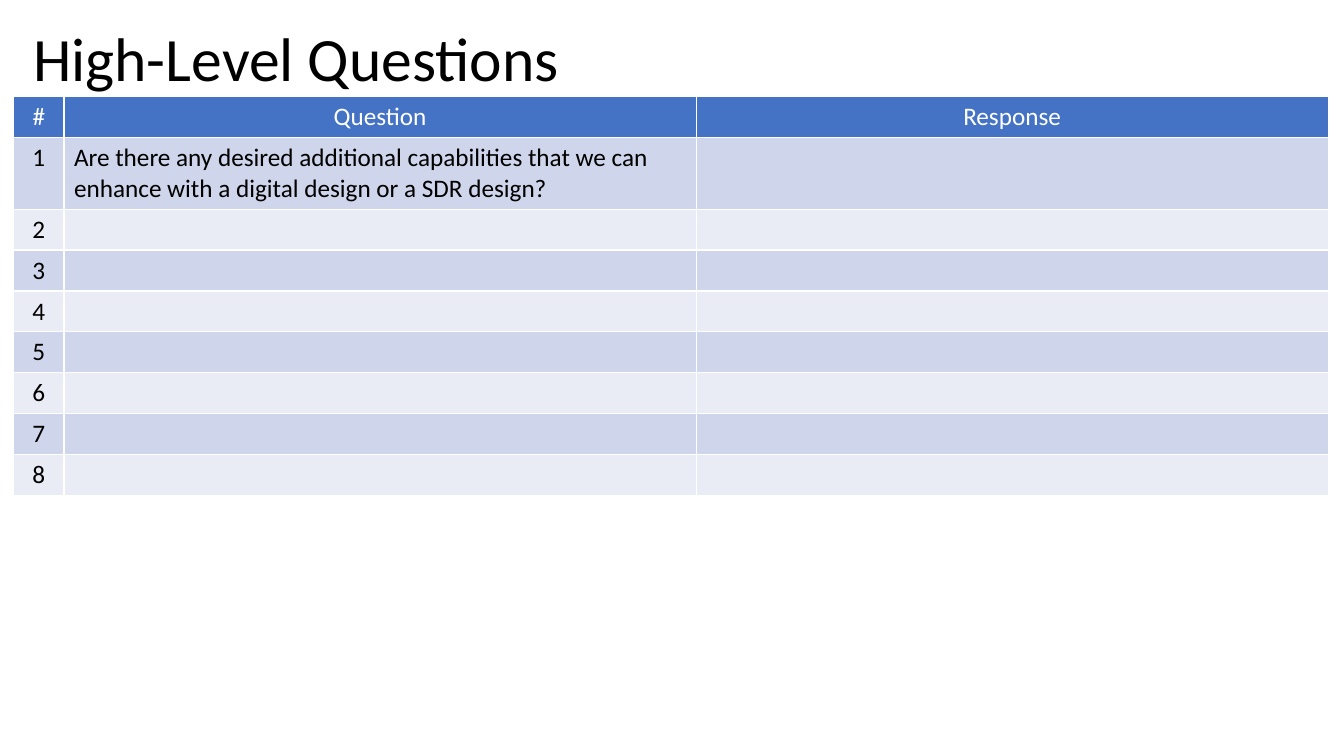
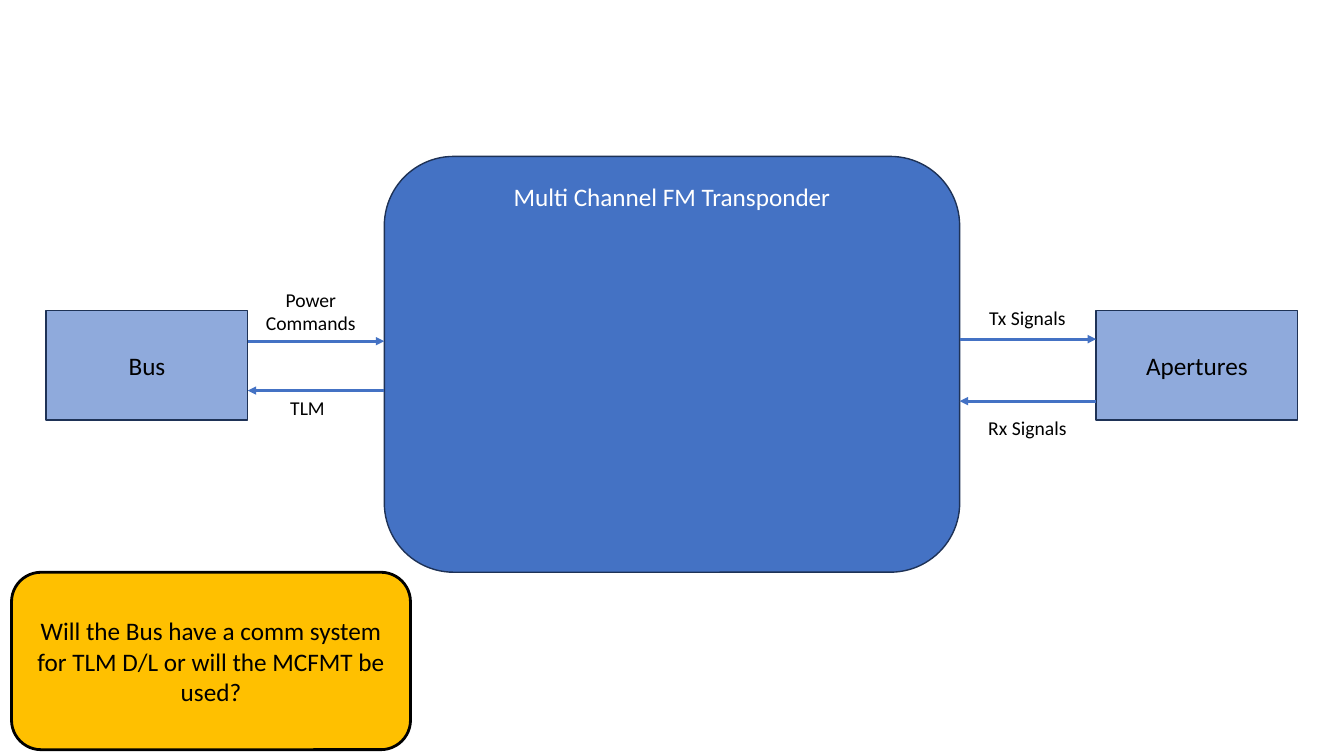
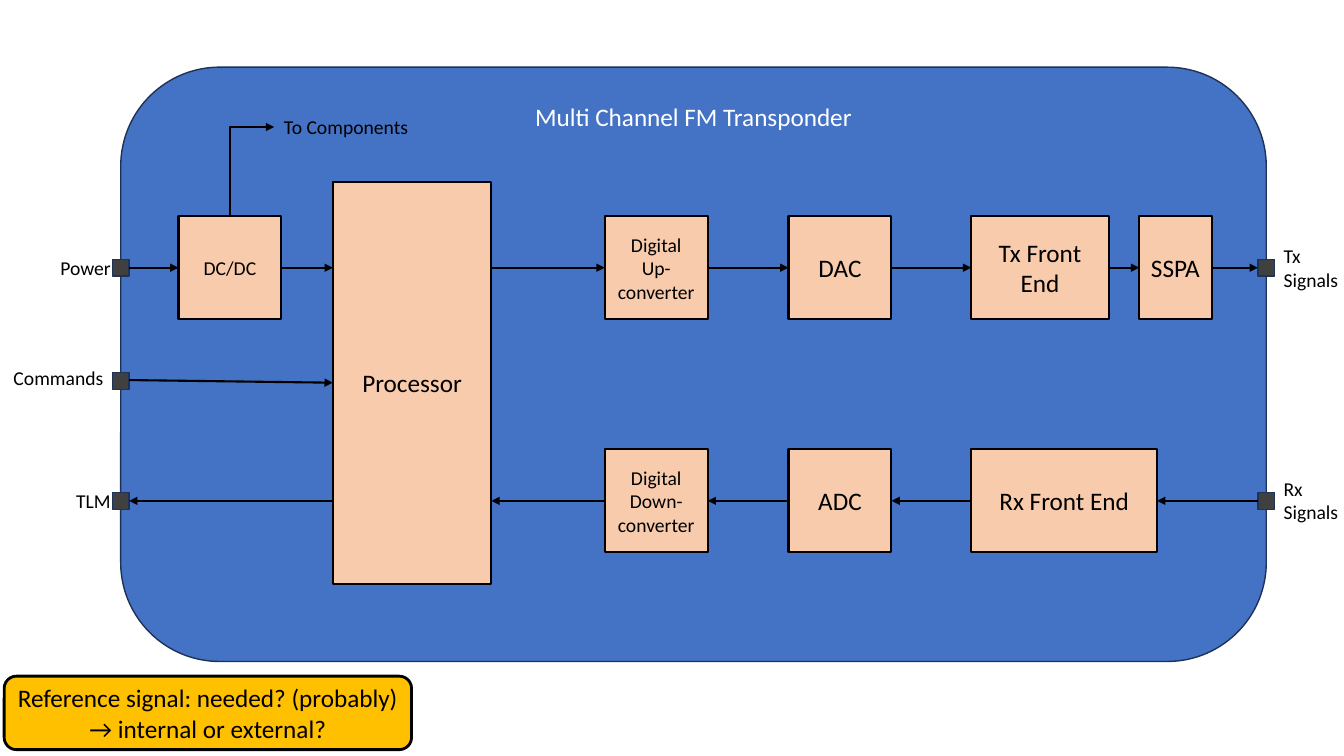
"""Build the three transponder slides: a question table, a system view and a block diagram."""
from dataclasses import dataclass
from itertools import pairwise

from pptx import Presentation
from pptx import util as u
from pptx.dml.color import RGBColor
from pptx.enum import shapes, text
from pptx.oxml import ns
from lxml import etree

PX = 9525


@dataclass(frozen=True)
class Theme:
    """Colours, type and line sizes shared by all slides."""
    font: str = "Calibri"
    black: str = "000000"
    white: str = "FFFFFF"
    blue: str = "4472C4"
    pale_blue: str = "8FAADC"
    navy: str = "1E3256"
    gold: str = "FFC000"
    peach: str = "F8CBAD"
    grey: str = "404040"
    bands: tuple = ("CFD5EA", "E9EBF5")
    title: int = 44
    normal: int = 18
    small: int = 14


T = Theme()
RECT, ROUND = shapes.MSO_SHAPE.RECTANGLE, shapes.MSO_SHAPE.ROUNDED_RECTANGLE
LEFT, CENTER, RIGHT = text.PP_ALIGN.LEFT, text.PP_ALIGN.CENTER, text.PP_ALIGN.RIGHT
TOP, MIDDLE = text.MSO_ANCHOR.TOP, text.MSO_ANCHOR.MIDDLE

STYLES = {
    "body": dict(kind=ROUND, fill=T.blue, line=T.navy, weight=1, color=T.white, anchor=TOP),
    "unit": dict(kind=RECT, fill=T.pale_blue, line=T.navy, weight=1),
    "block": dict(kind=RECT, fill=T.peach, line=T.black, weight=1.5),
    "port": dict(kind=RECT, fill=T.grey, line=T.navy, weight=1),
    "note": dict(kind=ROUND, fill=T.gold, line=T.black, weight=2),
}

TITLE = ("High-Level Questions", (22, 14, 1238, 89))
HEADER = ["#", "Question", "Response"]
QUESTIONS = ["Are there any desired additional capabilities that we can enhance "
             "with a digital design or a SDR design?"] + [""] * 7
TABLE_AT, COLUMNS, ROW = (13, 92), (48, 602, 602), 39

NAME = "Multi Channel FM Transponder"
SYSTEM = [
    ("body", NAME, (366, 149, 548, 396)),
    ("unit", "Bus", (44, 296, 192, 104)),
    ("unit", "Apertures", (1044, 296, 192, 104)),
    ("note", "Will the Bus have a comm system for TLM D/L or will the MCFMT be used?",
     (11, 545, 380, 169)),
]
SYSTEM_ARROWS = [((236, 325), (366, 325)), ((366, 372), (236, 372)),
                 ((914, 323), (1044, 323)), ((1044, 382), (914, 382))]
SYSTEM_LABELS = [
    ("Power\nCommands", (243, 269, 106, 55), CENTER),
    ("TLM", (267, 372, 53, 33), LEFT),
    ("Tx Signals", (932, 287, 93, 33), CENTER),
    ("Rx Signals", (931, 391, 95, 33), CENTER),
]

BODY = (115, 64, 1091, 566)
PROCESSOR = (317, 173, 151, 383)
TX_Y, COMMAND_Y, RX_Y = 255, 363, 477
BLOCK_H, PORT = 98, 16
TX_BLOCKS = [("DC/DC", 170, 98, T.small), ("Digital Up-converter", 576, 98, T.small),
             ("DAC", 751, 98, T.normal), ("Tx Front End", 925, 131, T.normal),
             ("SSPA", 1085, 69, T.normal)]
RX_BLOCKS = [("Digital Down-converter", 576, 98, T.small), ("ADC", 751, 98, T.normal),
             ("Rx Front End", 925, 177, T.normal)]
SUPPLY_OUT = (261, 121)
REFERENCE = ("note", "Reference signal: needed? (probably) → internal or external?",
             (4, 644, 388, 70))
DETAIL_LABELS = [
    ("Power", (47, 239, 68, 33), RIGHT),
    ("TLM", (62, 461, 53, 33), RIGHT),
    ("Tx\nSignals", (1213, 228, 72, 55), LEFT),
    ("Rx\nSignals", (1213, 449, 72, 55), LEFT),
    ("To Components", (261, 105, 139, 33), LEFT),
    ("Commands", (0, 344, 108, 33), RIGHT),
]


def emu(*lengths):
    return [u.Emu(round(n * PX)) for n in lengths]


def rgb(value):
    return RGBColor.from_string(value)


def assign(obj, values):
    for name, value in values.items():
        setattr(obj, name, value)


def write(tf, words, size=T.normal, color=T.black, align=CENTER, **frame):
    assign(tf, frame)
    for i, line in enumerate(words.split("\n")):
        p = tf.add_paragraph() if i else tf.paragraphs[0]
        p.alignment = align
        r = p.add_run()
        r.text = line
        assign(r.font, dict(name=T.font, size=u.Pt(size), bold=False))
        r.font.color.rgb = rgb(color)


def box(s, style, words, at, size=T.normal):
    look = STYLES[style]
    sp = s.shapes.add_shape(look["kind"], *emu(*at))
    sp.shadow.inherit = False
    sp.fill.solid()
    sp.fill.fore_color.rgb = rgb(look["fill"])
    sp.line.color.rgb = rgb(look["line"])
    sp.line.width = u.Pt(look["weight"])
    if words:
        write(sp.text_frame, words, size, look.get("color", T.black), word_wrap=True,
              vertical_anchor=look.get("anchor", MIDDLE))


def label(s, words, at, align):
    tf = s.shapes.add_textbox(*emu(*at)).text_frame
    write(tf, words, T.small, align=align, word_wrap=False,
          auto_size=text.MSO_AUTO_SIZE.SHAPE_TO_FIT_TEXT)


def arrow(s, start, end, color=T.black, weight=1.5, kind=shapes.MSO_CONNECTOR.STRAIGHT):
    c = s.shapes.add_connector(kind, *emu(*start, *end))
    c.line.color.rgb = rgb(color)
    c.line.width = u.Pt(weight)
    etree.SubElement(c.line._get_or_add_ln(), ns.qn("a:tailEnd"), type="triangle")
    etree.SubElement(c.element.spPr, ns.qn("a:effectLst"))
    return c


def up_then_right(s, start, end):
    (x1, y1), (x2, y2) = start, end
    cx, cy, half_w, half_h = (x1 + x2) / 2, (y1 + y2) / 2, (y1 - y2) / 2, (x2 - x1) / 2
    c = arrow(s, (cx + half_w, cy + half_h), (cx - half_w, cy - half_h),
              kind=shapes.MSO_CONNECTOR.ELBOW)
    c.element.spPr.find(ns.qn("a:xfrm")).set("rot", "5400000")
    c.element.spPr.find(ns.qn("a:prstGeom")).set("prst", "bentConnector2")


def question_slide(prs):
    s = prs.slides.add_slide(prs.slide_layouts[5])
    words, at = TITLE
    title = s.shapes.title
    assign(title, dict(zip(("left", "top", "width", "height"), emu(*at))))
    write(title.text_frame, words, T.title, align=LEFT, vertical_anchor=MIDDLE,
          word_wrap=True, auto_size=text.MSO_AUTO_SIZE.NONE)
    title.text_frame.paragraphs[0].line_spacing = 0.9
    rows = [HEADER] + [[str(n), q, ""] for n, q in enumerate(QUESTIONS, 1)]
    size = sum(COLUMNS), ROW * len(rows)
    table = s.shapes.add_table(len(rows), len(COLUMNS), *emu(*TABLE_AT, *size)).table
    for column, width in zip(table.columns, emu(*COLUMNS)):
        column.width = width
    for i, row in enumerate(rows):
        for j, words in enumerate(row):
            cell = table.cell(i, j)
            cell.fill.solid()
            cell.fill.fore_color.rgb = rgb(T.bands[(i - 1) % 2] if i else T.blue)
            if words:
                write(cell.text_frame, words, color=T.black if i else T.white,
                      align=LEFT if i and j else CENTER)


def system_slide(prs):
    s = prs.slides.add_slide(prs.slide_layouts[6])
    for item in SYSTEM:
        box(s, *item)
    for start, end in SYSTEM_ARROWS:
        arrow(s, start, end, T.blue, 2)
    for item in SYSTEM_LABELS:
        label(s, *item)


def detail_slide(prs):
    s = prs.slides.add_slide(prs.slide_layouts[6])
    box(s, "body", NAME, BODY)
    box(s, "block", "Processor", PROCESSOR)
    left, right = BODY[0], BODY[0] + BODY[2]
    for x, y in [(left, TX_Y), (left, COMMAND_Y), (left, RX_Y), (right, TX_Y), (right, RX_Y)]:
        box(s, "port", "", (x - PORT / 2, y - PORT / 2, PORT, PORT))
    ends = [(x - PORT / 2, PORT) for x in (left, right)]
    for blocks, y, outward in [(TX_BLOCKS, TX_Y, True), (RX_BLOCKS, RX_Y, False)]:
        for words, x, w, size in blocks:
            box(s, "block", words, (x, y - BLOCK_H / 2, w, BLOCK_H), size)
        spans = sorted(ends + [PROCESSOR[::2]] + [b[1:3] for b in blocks])
        for (x, w), (following, _) in pairwise(spans):
            gap = (x + w, y), (following, y)
            arrow(s, *(gap if outward else gap[::-1]))
    arrow(s, (left + PORT / 2, COMMAND_Y - 1), (PROCESSOR[0], PROCESSOR[1] + PROCESSOR[3] / 2))
    _, x, w, _ = TX_BLOCKS[0]
    up_then_right(s, (x + w / 2, TX_Y - BLOCK_H / 2), SUPPLY_OUT)
    for item in DETAIL_LABELS:
        label(s, *item)
    box(s, *REFERENCE)


def main():
    prs = Presentation()
    prs.slide_width, prs.slide_height = emu(1280, 720)
    for build in (question_slide, system_slide, detail_slide):
        build(prs)
    prs.save("out.pptx")


if __name__ == "__main__":
    main()
